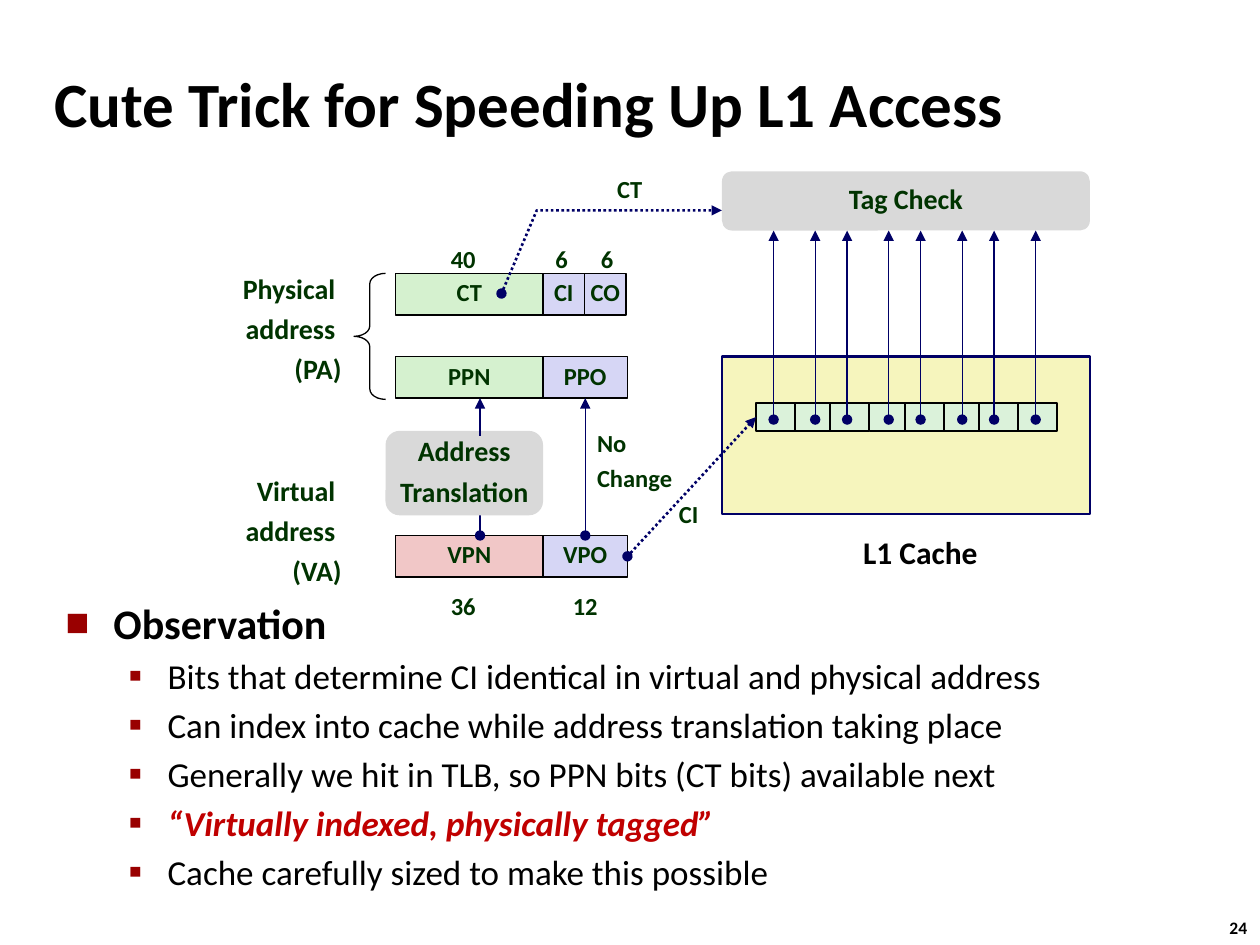
from lxml import etree
from pptx import Presentation
from pptx.dml.color import RGBColor
from pptx.enum.dml import MSO_LINE
from pptx.enum.shapes import MSO_CONNECTOR, MSO_SHAPE
from pptx.enum.text import MSO_ANCHOR, MSO_AUTO_SIZE, PP_ALIGN
from pptx.oxml.ns import qn
from pptx.util import Inches, Pt

LEFT, CENTER, RIGHT = PP_ALIGN.LEFT, PP_ALIGN.CENTER, PP_ALIGN.RIGHT
RECT, ROUND, BRACE = MSO_SHAPE.RECTANGLE, MSO_SHAPE.ROUNDED_RECTANGLE, MSO_SHAPE.LEFT_BRACE
TOP_SIDE, LEFT_SIDE, BOTTOM_SIDE, RIGHT_SIDE = range(4)
FONT = "Calibri"
C = {"black": "000000", "label": "003300", "navy": "000066", "bullet": "990000",
     "accent": "C00000", "green": "D5F1CF", "blue": "D6D6F5", "red": "F1C7C7",
     "gray": "D9D9D9", "cache": "F6F5BD", "cell": "DBF2DA"}

# Content
TITLE = "Cute Trick for Speeding Up L1 Access"
HEADING = "Observation"
POINTS = [
    "Bits that determine CI identical in virtual and physical address",
    "Can index into cache while address translation taking place",
    "Generally we hit in TLB, so PPN bits (CT bits) available next",
    "“Virtually indexed, physically tagged”",
    "Cache carefully sized to make this possible",
]
STRESSED = POINTS[3]

FIELD_H = 0.33
FIELDS = [  # name, left, top, width, fill
    ("CT", 3.14, 2.17, 1.17, "green"), ("CI", 4.31, 2.17, 0.33, "blue"),
    ("CO", 4.64, 2.17, 0.33, "blue"),
    ("PPN", 3.14, 2.83, 1.17, "green"), ("PPO", 4.31, 2.83, 0.67, "blue"),
    ("VPN", 3.14, 4.25, 1.17, "red"), ("VPO", 4.31, 4.25, 0.67, "blue"),
]
BLOCKS = [  # lines, box
    (["Address", "Translation"], (3.06, 3.42, 1.25, 0.67)),
    (["Tag Check"], (5.73, 1.36, 2.92, 0.47)),
]
LABELS = [  # lines, box, size, alignment, wrap
    (["Physical ", "address ", "(PA)"], (0.08, 2.14, 2.73, 0.98), 16, RIGHT, True),
    (["Virtual ", "address ", "(VA)"], (1.64, 3.74, 1.17, 0.98), 16, RIGHT, True),
    (["40"], (3.48, 1.92, 0.4, 0.31), 14, LEFT, False),
    (["6"], (4.31, 1.92, 0.3, 0.31), 14, LEFT, False),
    (["6"], (4.67, 1.92, 0.3, 0.31), 14, LEFT, False),
    (["36"], (3.48, 4.67, 0.4, 0.31), 14, LEFT, False),
    (["12"], (4.31, 4.67, 0.67, 0.31), 14, CENTER, True),
    (["No", "Change"], (4.64, 3.38, 0.8, 0.59), 14, LEFT, False),
    (["CI"], (5.29, 3.94, 0.36, 0.31), 14, LEFT, False),
    (["CT"], (4.8, 1.36, 0.4, 0.31), 14, LEFT, False),
]
CT_ROUTE = [(3.98, 2.33), (4.26, 1.67), (5.73, 1.67)]
PAIRS = 4  # tag cells and their arrows come in pairs


def rgb(name):
    return RGBColor.from_string(C[name])


def inches(values):
    return [Inches(v) for v in values]


def style(p, size, color="label", bold=True, italic=False):
    for r in p.runs:
        f = r.font
        f.name, f.size, f.bold, f.italic = FONT, Pt(size), bold, italic
        f.color.rgb = rgb(color)


def write(tf, lines, size, align, wrap=False, color="label", spacing=0.88):
    tf.word_wrap = wrap
    tf.text = "\n".join(lines)
    for i, p in enumerate(tf.paragraphs):
        p.alignment, p.line_spacing = align, spacing
        p.space_before = Pt(size * 0.375 if i else 0)
        style(p, size, color)


def add_label(lines, box, size, align, wrap, color="label", spacing=0.88):
    write(s.shapes.add_textbox(*inches(box)).text_frame, lines, size, align, wrap, color, spacing)


def add_box(kind, box, fill=None, line="black", width=0.75):
    sp = s.shapes.add_shape(kind, *inches(box))
    sp.shadow.inherit = False
    if fill:
        sp.fill.solid()
        sp.fill.fore_color.rgb = rgb(fill)
    else:
        sp.fill.background()
    if line:
        sp.line.color.rgb = rgb(line)
        sp.line.width = Pt(width)
    else:
        sp.line.fill.background()
    return sp


def style_line(sp, dotted=False, oval=True):
    sp.line.color.rgb = rgb("navy")
    sp.line.width = Pt(1.5 if dotted else 0.75)
    if dotted:
        sp.line.dash_style = MSO_LINE.ROUND_DOT
    ln = sp.line._get_or_add_ln()
    if oval:
        etree.SubElement(ln, qn("a:headEnd"), type="oval")
    etree.SubElement(ln, qn("a:tailEnd"), type="triangle")


def add_arrow(x1, y1, x2, y2, dotted=False, oval=True):
    sp = s.shapes.add_connector(MSO_CONNECTOR.STRAIGHT, *inches((x1, y1, x2, y2)))
    style_line(sp, dotted, oval)
    etree.SubElement(sp._element.spPr, qn("a:effectLst"))
    return sp


def add_bullet(p, char, percent, margin, hanging):
    pPr = p._p.get_or_add_pPr()
    pPr.set("marL", str(Inches(margin)))
    pPr.set("indent", str(-Inches(hanging)))
    clr = etree.SubElement(pPr, qn("a:buClr"))
    etree.SubElement(clr, qn("a:srgbClr"), val=C["bullet"])
    etree.SubElement(pPr, qn("a:buSzPct"), val=str(percent * 1000))
    etree.SubElement(pPr, qn("a:buFont"), typeface=FONT)
    etree.SubElement(pPr, qn("a:buChar"), char=char)


def place(ph, box, anchor):
    ph.left, ph.top, ph.width, ph.height = inches(box)
    tf = ph.text_frame
    tf.auto_size, tf.vertical_anchor = MSO_AUTO_SIZE.NONE, anchor
    return tf


prs = Presentation()
prs.slide_width, prs.slide_height = Inches(10), Inches(7.5)
s = prs.slides.add_slide(prs.slide_layouts[1])

# Title and bullet list
tf = place(s.shapes.title, (0.33, 0.5, 8.67, 0.63), MSO_ANCHOR.MIDDLE)
tf.text = TITLE
tf.paragraphs[0].alignment = LEFT
style(tf.paragraphs[0], 36, "black")

tf = place(s.placeholders[1], (0.42, 4.69, 9.35, 2.56), MSO_ANCHOR.TOP)
tf.text = "\n".join([HEADING] + POINTS)
for i, p in enumerate(tf.paragraphs):
    p.space_before = Pt(4 if i else 0)
    if i == 0:
        add_bullet(p, "■", 60, 0.38, 0.38)
        style(p, 24, "black")
    else:
        p.level = 1
        add_bullet(p, "▪", 110, 0.81, 0.31)
        stressed = p.text == STRESSED
        style(p, 20, "accent" if stressed else "black", stressed, stressed)

# Address fields
fields = {}
for name, x, y, w, fill in FIELDS:
    fields[name] = sp = add_box(RECT, (x, y, w, FIELD_H), fill)
    write(sp.text_frame, [name], 14, CENTER)
brace = add_box(BRACE, (2.81, 2.17, 0.25, 1))
brace.adjustments[0] = 0.33

# Translation path, with its lower arrow running under the block
add_arrow(3.81, 4.25, 3.81, 4)
for lines, box in BLOCKS:
    sp = add_box(ROUND, box, "gray", None)
    write(sp.text_frame, lines, 16, CENTER)
add_arrow(3.81, 3.46, 3.81, 3.16, oval=False)
unchanged = add_arrow(4.64, 4.25, 4.64, 3.16)
unchanged.begin_connect(fields["VPO"], TOP_SIDE)
unchanged.end_connect(fields["PPO"], BOTTOM_SIDE)

# Cache, its tag cells and their arrows to the tag check
add_box(RECT, (5.73, 2.83, 2.92, 1.25), "cache", "navy", 1.5)
cells = [add_box(RECT, (6 + 0.59 * i + dx, 3.2, 0.31, 0.22), "cell", "black", 1)
         for i in range(PAIRS) for dx in (0, 0.31)]
for i in range(PAIRS):
    for dx in (0, 0.33):
        x = 6.14 + 1.75 / 3 * i + dx
        add_arrow(x, 3.33, x, 1.83)
add_label(["L1 Cache"], (6.64, 4.18, 1.33, 0.4), 18, CENTER, True, "black", 1)

# Dotted routes for the cache index and the cache tag
index = add_arrow(4.98, 4.42, 6, 3.31, dotted=True)
index.begin_connect(fields["VPO"], RIGHT_SIDE)
index.end_connect(cells[0], LEFT_SIDE)
points = [inches(pt) for pt in CT_ROUTE]
builder = s.shapes.build_freeform(*points[0])
builder.add_line_segments(points[1:], close=False)
route = builder.convert_to_shape()
route.shadow.inherit = False
route.fill.background()
style_line(route, dotted=True)

# Labels and slide number
for label in LABELS:
    add_label(*label)
add_label(["24"], (9.66, 7.23, 0.37, 0.27), 10, LEFT, False, "black", 1)

prs.save("out.pptx")
